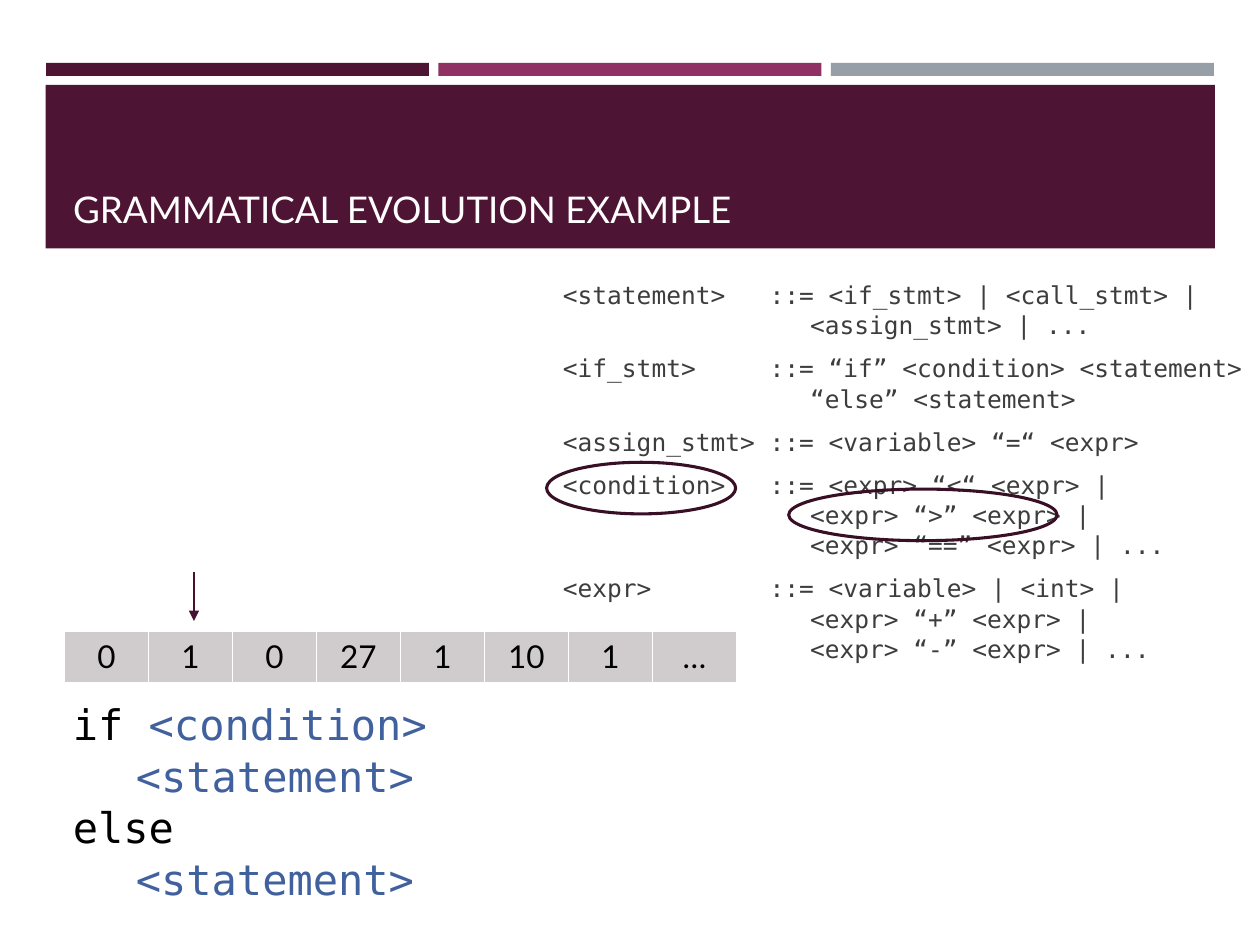
import lxml.etree
import pptx
import pptx.util
import pptx.dml.color
import pptx.enum.shapes
import pptx.enum.text
import pptx.oxml.ns

Cm, Pt = pptx.util.Cm, pptx.util.Pt
RGBColor = pptx.dml.color.RGBColor
SHAPE = pptx.enum.shapes.MSO_SHAPE
ALIGN = pptx.enum.text.PP_ALIGN
ANCHOR = pptx.enum.text.MSO_ANCHOR

WINE = RGBColor(0x4D, 0x14, 0x34)
PLUM = RGBColor(0x90, 0x31, 0x63)
STEEL = RGBColor(0x96, 0x9F, 0xA7)
RING = RGBColor(0x39, 0x0F, 0x26)
ARROW = RGBColor(0x45, 0x12, 0x2F)
CELL = RGBColor(0xD0, 0xCC, 0xCE)
GREY = RGBColor(0x3D, 0x3D, 0x3D)
BLUE = RGBColor(0x40, 0x61, 0x9D)
BLACK = RGBColor(0, 0, 0)
WHITE = RGBColor(0xFF, 0xFF, 0xFF)
SANS, MONO = "Lato", "DejaVu Sans Mono"

TITLE = "GRAMMATICAL EVOLUTION EXAMPLE"
RULES = [
    ("<statement>", "<if_stmt> | <call_stmt> | <assign_stmt> | ..."),
    ("<if_stmt>", "“if” <condition> <statement> “else” <statement>"),
    ("<assign_stmt>", "<variable> “=“ <expr>"),
    ("<condition>", "<expr> “<“ <expr> |\v<expr> “>” <expr> |\v<expr> “==” <expr> | ..."),
    ("<expr>", "<variable> | <int> |\v<expr> “+” <expr> |\v<expr> “-” <expr> | ..."),
]
CODE = [
    [("if ", BLACK), ("<condition>", BLUE)],
    [("\t", BLACK), ("<statement>", BLUE)],
    [("else", BLACK)],
    [("\t", BLACK), ("<statement>", BLUE)],
]
GENES = ["0", "1", "0", "27", "1", "10", "1", "…"]
BARS = [WINE, PLUM, STEEL]
RINGS = [(11.02, 9.32, 3.81, 1.04), (15.9, 9.86, 5.41, 1.04)]


def place(box):
    return [Cm(n) for n in box]


def style(para, face, size, tint=None):
    para.font.name = face
    para.font.size = Pt(size)
    if tint is not None:
        para.font.color.rgb = tint


def block(slide, box, tint):
    shape = slide.shapes.add_shape(SHAPE.RECTANGLE, *place(box))
    shape.shadow.inherit = False
    shape.fill.solid()
    shape.fill.fore_color.rgb = tint
    shape.line.fill.background()


def lines(frame, count):
    frame.word_wrap = True
    for _ in range(count - 1):
        frame.add_paragraph()
    for para in frame.paragraphs:
        para.line_spacing = 1.03
    return frame.paragraphs


def header(slide):
    for i, tint in enumerate(BARS):
        block(slide, (0.93 + i * 7.91, 1.27, 7.72, 0.26), tint)
    block(slide, (0.92, 1.71, 23.57, 3.3), WINE)
    title = slide.shapes.title
    title.left, title.top, title.width, title.height = place((1.22, 1.96, 22.99, 2.82))
    text = title.text_frame
    text.text = TITLE
    text.auto_size = pptx.enum.text.MSO_AUTO_SIZE.NONE
    text.vertical_anchor = ANCHOR.BOTTOM
    text.paragraphs[0].alignment = ALIGN.LEFT
    style(text.paragraphs[0], SANS, 21, WHITE)
    tree = slide.shapes._spTree
    tree.remove(title._element)
    tree.append(title._element)


def grammar(slide):
    frame = slide.shapes.add_textbox(*place((11.1, 5.08, 14.3, 8.84))).text_frame
    frame.vertical_anchor = ANCHOR.MIDDLE
    wide = max(len(name) for name, _ in RULES)
    for para, (name, body) in zip(lines(frame, len(RULES)), RULES):
        para.text = f"{name:<{wide}} ::= {body}"
        para.space_before, para.space_after = Pt(2.8), Pt(4.5)
        props = para._p.get_or_add_pPr()
        props.set("marL", str(Cm(4.98)))
        props.set("indent", str(-Cm(4.98)))
        style(para, MONO, 14, GREY)


def code(slide):
    frame = slide.shapes.add_textbox(*place((1.22, 13.92, 22.99, 4.37))).text_frame
    for para, parts in zip(lines(frame, len(CODE)), CODE):
        style(para, MONO, 24)
        for words, tint in parts:
            run = para.add_run()
            run.text = words
            run.font.color.rgb = tint


def genome(slide):
    table = slide.shapes.add_table(1, len(GENES), *place((1.3, 12.73, 13.55, 1.04))).table
    table.first_row = table.horz_banding = False
    for cell, gene in zip(table.rows[0].cells, GENES):
        cell.text = gene
        cell.fill.solid()
        cell.fill.fore_color.rgb = CELL
        para = cell.text_frame.paragraphs[0]
        para.alignment = ALIGN.CENTER
        style(para, SANS, 18, BLACK)


def marks(slide):
    kind = pptx.enum.shapes.MSO_CONNECTOR.STRAIGHT
    arrow = slide.shapes.add_connector(kind, *place((3.91, 11.53, 3.91, 12.52)))
    arrow.line.color.rgb = ARROW
    arrow.line.width = Pt(1)
    qn = pptx.oxml.ns.qn
    props = arrow._element.spPr
    lxml.etree.SubElement(props.find(qn("a:ln")), qn("a:tailEnd"), type="triangle")
    lxml.etree.SubElement(props, qn("a:effectLst"))
    for box in RINGS:
        ring = slide.shapes.add_shape(SHAPE.OVAL, *place(box))
        ring.shadow.inherit = False
        ring.fill.background()
        ring.line.color.rgb = RING
        ring.line.width = Pt(1.75)


def main():
    deck = pptx.Presentation()
    deck.slide_width, deck.slide_height = Cm(25.4), Cm(19.05)
    slide = deck.slides.add_slide(deck.slide_layouts[5])
    for part in (header, grammar, code, genome, marks):
        part(slide)
    deck.save("out.pptx")


if __name__ == "__main__":
    main()
